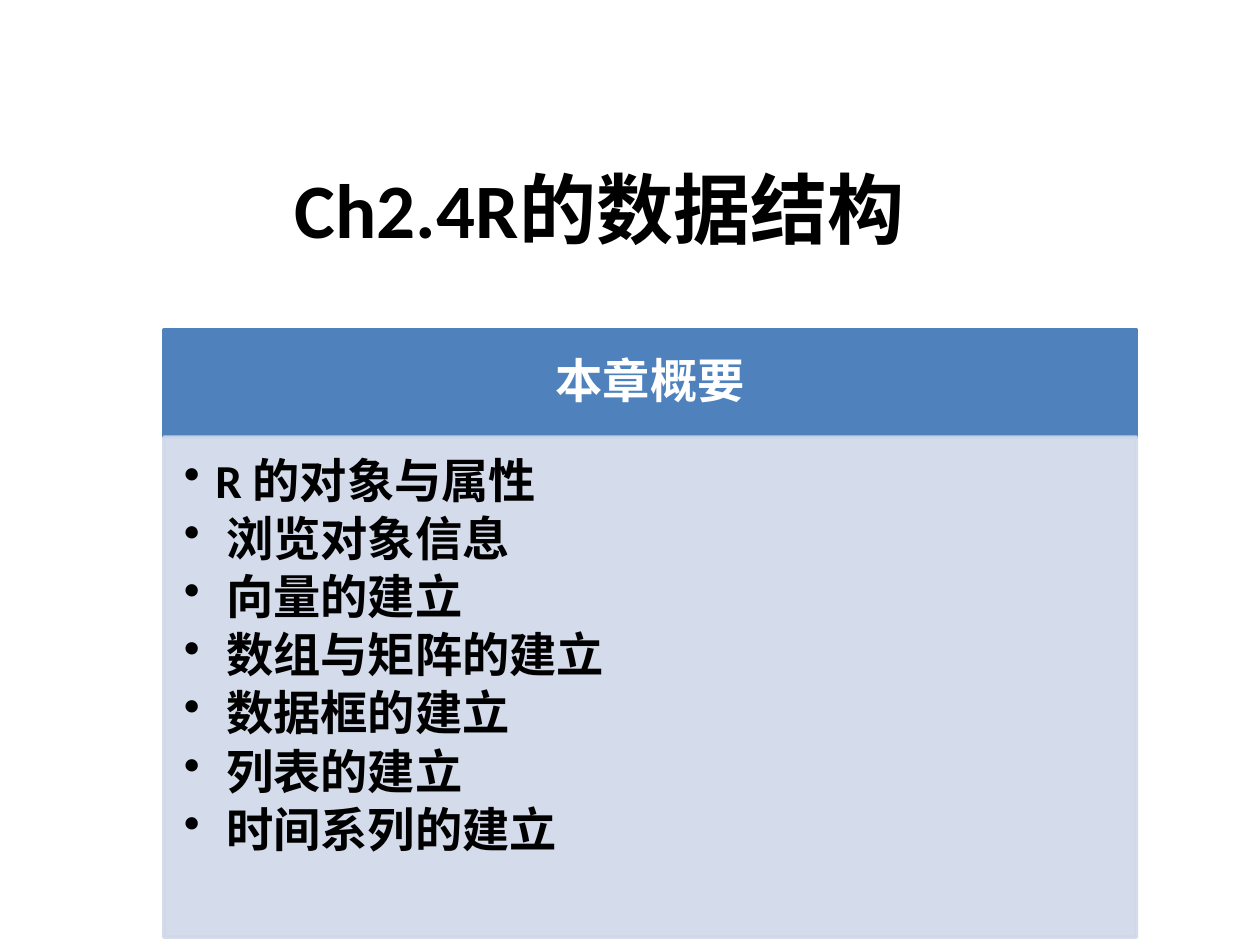
from lxml.etree import SubElement
from pptx import Presentation
from pptx.dml.color import RGBColor
from pptx.enum.shapes import MSO_SHAPE
from pptx.enum.text import MSO_ANCHOR, PP_ALIGN
from pptx.oxml.ns import qn
from pptx.util import Pt


def color(value):
    """Turn a hex string into a colour."""
    return RGBColor.from_string(value)


def set_alpha(paint, percent):
    """Make a solid fill partly transparent."""
    clr = paint._xPr.find(qn("a:solidFill"))[0]
    SubElement(clr, qn("a:alpha"), val=str(percent * 1000))


def add_bullet(p, indent):
    """Give a paragraph a hanging round bullet."""
    pPr = p._p.get_or_add_pPr()
    pPr.set("marL", str(int(Pt(indent))))
    pPr.set("indent", str(-int(Pt(indent))))
    SubElement(pPr, qn("a:buChar"), char="•")


def set_space_after(p, percent):
    """Set the space after a paragraph as a share of its line."""
    pPr = p._p.get_or_add_pPr()
    after = SubElement(pPr, qn("a:spcAft"))
    SubElement(after, qn("a:spcPct"), val=str(percent * 1000))


def write(tf, lines, size=27, ink="000000", align=PP_ALIGN.LEFT,
          anchor=MSO_ANCHOR.TOP, insets=(7.2, 3.6, 7.2, 3.6),
          spacing=1.0, after=0, indent=0, font="Calibri"):
    """Write bold lines into a text frame."""
    tf.word_wrap = True
    tf.vertical_anchor = anchor
    tf.margin_left, tf.margin_top, tf.margin_right, tf.margin_bottom = map(Pt, insets)
    for i, line in enumerate(lines):
        p = tf.add_paragraph() if i else tf.paragraphs[0]
        p.alignment = align
        p.line_spacing = spacing
        if after:
            set_space_after(p, after)
        if indent:
            add_bullet(p, indent)
        r = p.add_run()
        r.text = line
        r.font.name, r.font.size, r.font.bold = font, Pt(size), True
        r.font.color.rgb = color(ink)


class Deck:
    """Hold the current slide and draw its elements."""

    def __init__(self, prs):
        """Start a blank slide."""
        self.s = prs.slides.add_slide(prs.slide_layouts[6])

    def text(self, box, lines, **fmt):
        """Add a text box."""
        sp = self.s.shapes.add_textbox(*map(Pt, box))
        write(sp.text_frame, lines, **fmt)

    def panel(self, box, fill, lines, opacity=100, **fmt):
        """Add a filled rectangle with text."""
        sp = self.s.shapes.add_shape(MSO_SHAPE.RECTANGLE, *map(Pt, box))
        sp.shadow.inherit = False
        sp.line.width = Pt(2)
        for paint in (sp.fill, sp.line.fill):
            paint.solid()
            paint.fore_color.rgb = color(fill)
        if opacity < 100:
            set_alpha(sp.fill._xPr and sp.fill, opacity)
            set_alpha(sp.line.fill, opacity)
        write(sp.text_frame, lines, spacing=0.9, **fmt)


TOPICS = ["R 的对象与属性", " 浏览对象信息", " 向量的建立", " 数组与矩阵的建立",
          " 数据框的建立", " 列表的建立", " 时间系列的建立"]
LEFT, TOP, WIDTH = 93.6, 188.6, 555.8
HEAD_H, BODY_H = 61.2, 285.8

prs = Presentation()
prs.slide_width, prs.slide_height = Pt(720), Pt(540)
deck = Deck(prs)
deck.text((36.7, 60.5, 612, 115.9), ["Ch2.4R的数据结构"], size=44,
          align=PP_ALIGN.CENTER, anchor=MSO_ANCHOR.MIDDLE)
deck.panel((LEFT, TOP, WIDTH, HEAD_H), "4F81BD", ["本章概要"], ink="FFFFFF",
           align=PP_ALIGN.CENTER, anchor=MSO_ANCHOR.MIDDLE,
           insets=(15.1, 8.6, 15.1, 8.6), after=35)
deck.panel((LEFT, TOP + HEAD_H, WIDTH, BODY_H), "D0D8E8", TOPICS, opacity=90,
           insets=(11.5, 11.5, 15.1, 17.3), after=15, indent=18)
prs.save("out.pptx")
